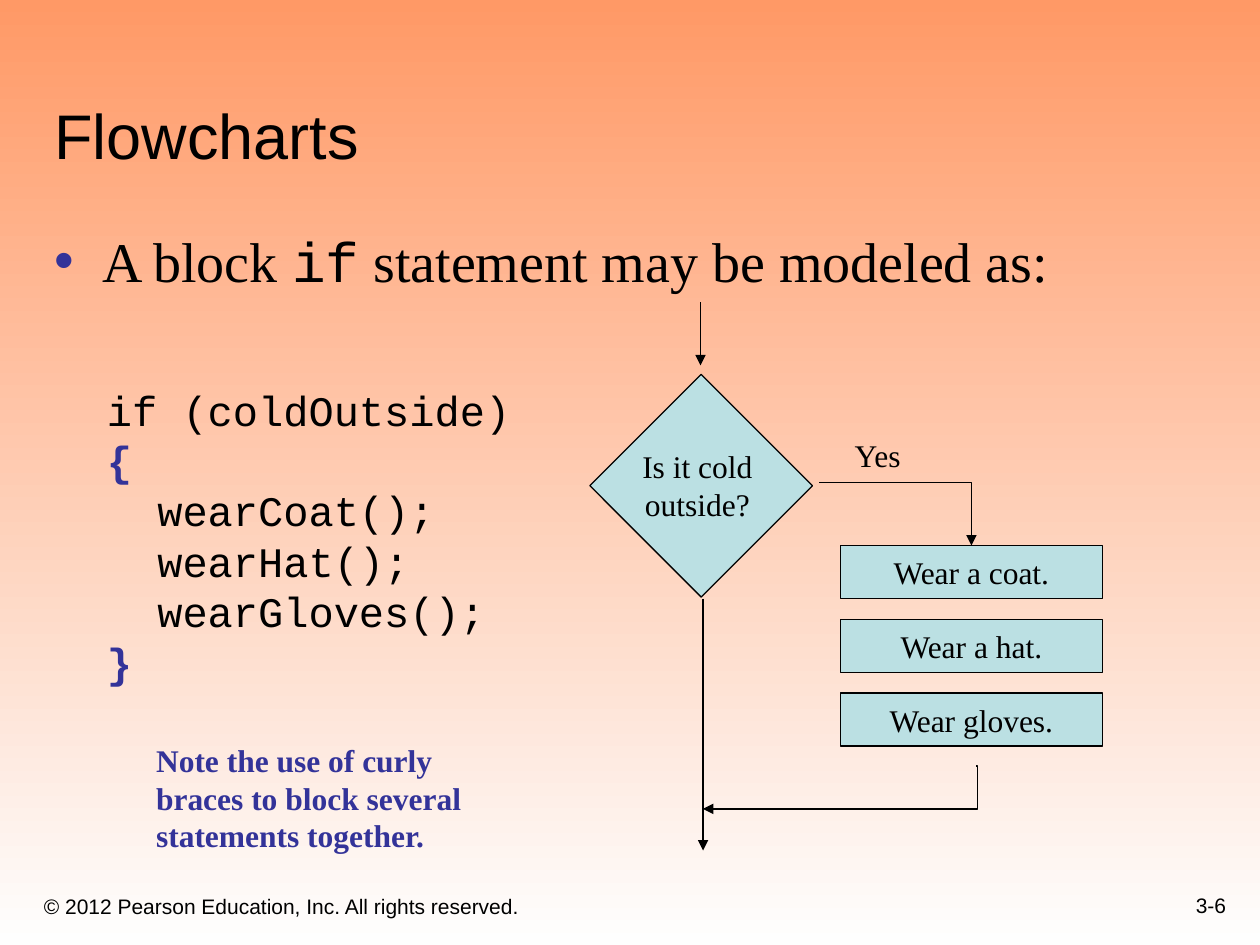
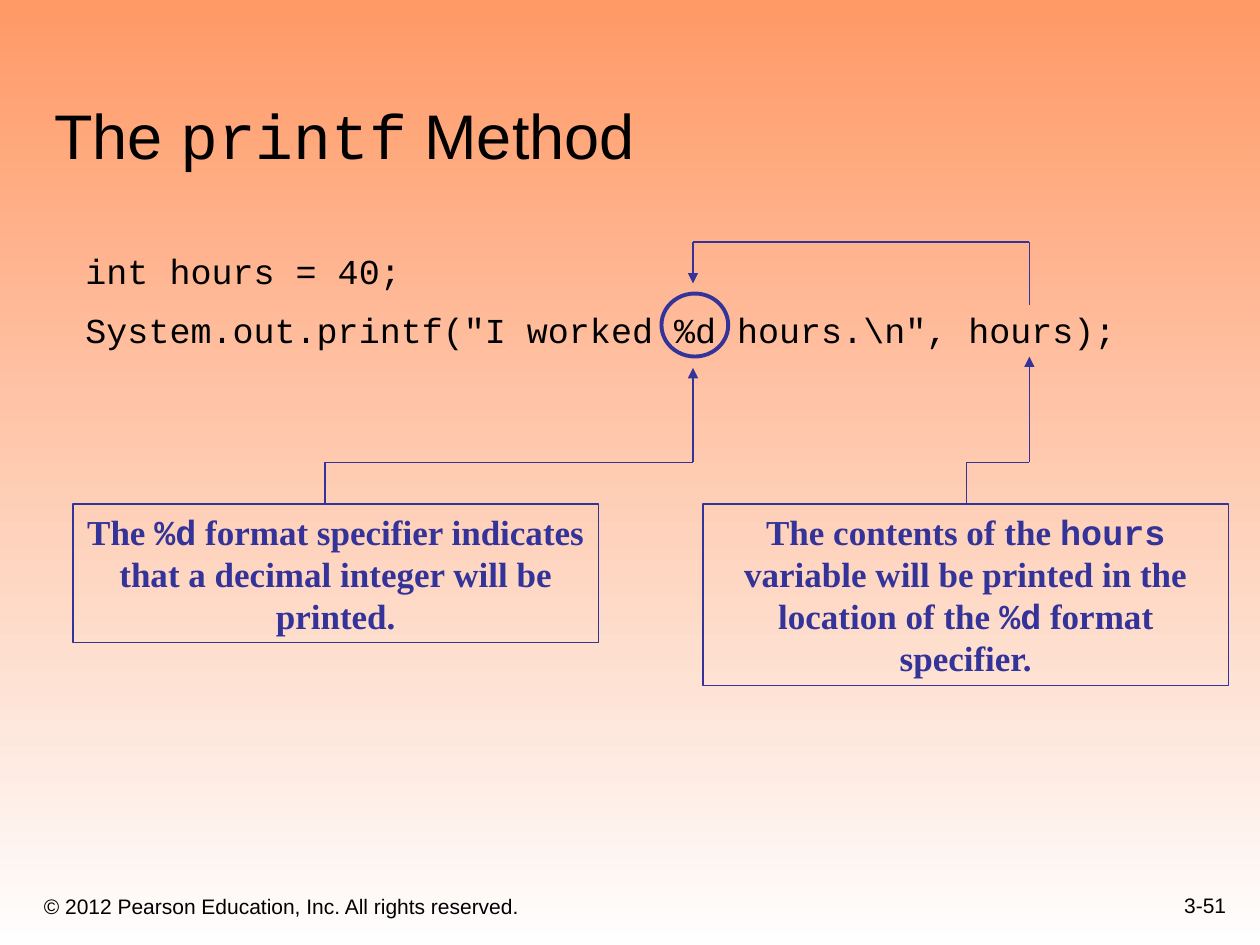
from itertools import pairwise

from pptx import Presentation
from pptx.dml.color import RGBColor
from pptx.enum.shapes import MSO_CONNECTOR as Connector, MSO_SHAPE as Shape
from pptx.enum.text import MSO_ANCHOR as Anchor, MSO_AUTO_SIZE as AutoSize, PP_ALIGN as Align
from pptx.oxml.ns import qn
from pptx.oxml.xmlchemy import OxmlElement
from pptx.util import Inches, Pt

BLACK = RGBColor(0x00, 0x00, 0x00)
NAVY = RGBColor(0x33, 0x33, 0x99)
PALE_BLUE = RGBColor(0xBB, 0xE0, 0xE3)
BACKGROUND = [RGBColor(0xFF, 0x99, 0x66), RGBColor(0xFE, 0xFE, 0xFE)]

SANS, SERIF, MONO = "Arial", "Times New Roman", "Courier New"
TITLE = {"name": SANS, "size": Pt(36), "color": BLACK}
FOOTER = {"name": SANS, "size": Pt(12), "color": BLACK}
BULLET = {"name": SERIF, "size": Pt(32), "color": BLACK}
LABEL = {"name": SERIF, "size": Pt(18), "color": BLACK}
NOTE = {"name": SERIF, "size": Pt(18), "color": NAVY, "bold": True}
CALLOUT = {"name": SERIF, "size": Pt(20), "color": NAVY, "bold": True}
BLOCK_CODE = {"name": MONO, "size": Pt(24), "color": BLACK}
PRINTF_CODE = {"name": MONO, "size": Pt(20), "color": BLACK}
CODE_RUN = {"name": MONO}
BRACE = {"color": NAVY, "bold": True}

COPYRIGHT = "© 2012 Pearson Education, Inc. All rights reserved."
FLOWCHART_TITLE = ["Flowcharts"]
FLOWCHART_BULLET = [["A block ", ("if", CODE_RUN), " statement may be modeled as:"]]
BLOCK_LINES = [["if (coldOutside)"], [("{", BRACE)], ["  wearCoat();"],
               ["  wearHat();"], ["  wearGloves();"], [("}", BRACE)]]
QUESTION = [["Is it cold"], ["outside?"]]
BRACES_NOTE = [["Note the use of curly"], ["braces to block several"], ["statements together."]]
ACTIONS = ["Wear a coat.", "Wear a hat.", "Wear gloves."]
FLOW_ARROWS = [[(5.56, 2.4), (5.56, 2.9)], [(5.58, 4.75), (5.58, 6.75)]]

PRINTF_TITLE = ["The ", ("printf", CODE_RUN), " Method"]
PRINTF_LINES = [["int hours = 40;"], ['System.out.printf("I worked %d hours.\\n", hours);']]
CALLOUTS = [
    (0.58, 1.1, ["The ", ("%d", CODE_RUN),
                 " format specifier indicates that a decimal integer will be printed."]),
    (5.58, 1.44, ["The contents of the ", ("hours", CODE_RUN),
                  " variable will be printed in the location of the ",
                  ("%d", CODE_RUN), " format specifier."]),
]
SPECIFIER_X, ARGUMENT_X, BEND_Y, CALLOUT_Y = 5.5, 8.17, 3.67, 4
PRINTF_PATHS = [
    [(ARGUMENT_X, 2.42), (ARGUMENT_X, 1.92), (SPECIFIER_X, 1.92), (SPECIFIER_X, 2.25)],
    [(2.58, CALLOUT_Y), (2.58, BEND_Y), (SPECIFIER_X, BEND_Y), (SPECIFIER_X, 2.92)],
    [(7.67, CALLOUT_Y), (7.67, BEND_Y), (ARGUMENT_X, BEND_Y), (ARGUMENT_X, 2.83)],
]


def set_font(font, values):
    for name, value in values.items():
        if name == "color":
            font.color.rgb = value
        else:
            setattr(font, name, value)


def write(shape, paragraphs, style, frame=None, align=Align.LEFT, gap=0):
    text_frame = shape.text_frame
    for name, value in {"auto_size": AutoSize.NONE, "word_wrap": True, **(frame or {})}.items():
        setattr(text_frame, name, value)
    for index, runs in enumerate(paragraphs):
        paragraph = text_frame.add_paragraph() if index else text_frame.paragraphs[0]
        paragraph.alignment = align
        paragraph.space_before = Pt(gap if index else 0)
        for part in runs:
            text, changes = part if isinstance(part, tuple) else (part, {})
            run = paragraph.add_run()
            run.text = text
            set_font(run.font, {**style, **changes})


def place(shape, *box):
    for name, value in zip(("left", "top", "width", "height"), box):
        setattr(shape, name, Inches(value))


def add_text(slide, box, paragraphs, style, **options):
    shape = slide.shapes.add_textbox(*map(Inches, box))
    write(shape, paragraphs, style, **options)


def add_outline(slide, kind, box, color, width=0.75, fill=None):
    shape = slide.shapes.add_shape(kind, *map(Inches, box))
    shape.shadow.inherit = False
    shape.line.color.rgb = color
    shape.line.width = Pt(width)
    if fill is None:
        shape.fill.background()
    else:
        shape.fill.solid()
        shape.fill.fore_color.rgb = fill
    return shape


def connect(slide, start, end, color, arrow=True, kind=Connector.STRAIGHT):
    connector = slide.shapes.add_connector(kind, *map(Inches, (*start, *end)))
    connector.line.color.rgb = color
    connector.line.width = Pt(0.75)
    if arrow:
        tail = OxmlElement("a:tailEnd")
        tail.set("type", "triangle")
        connector.line._get_or_add_ln().append(tail)
    properties = connector._element.spPr
    properties.append(OxmlElement("a:effectLst"))
    return properties.find(qn("a:prstGeom"))


def add_bullet(paragraph):
    properties = paragraph._p.get_or_add_pPr()
    properties.set("marL", str(Inches(0.38)))
    properties.set("indent", str(-Inches(0.38)))
    bullet_color = OxmlElement("a:buClr")
    color = OxmlElement("a:srgbClr")
    color.set("val", str(NAVY))
    bullet_color.append(color)
    bullet = OxmlElement("a:buChar")
    bullet.set("char", "•")
    properties.extend([bullet_color, bullet])


def add_slide(presentation, layout, title, number):
    slide = presentation.slides.add_slide(presentation.slide_layouts[layout])
    fill = slide.background.fill
    fill.gradient()
    fill.gradient_angle = 270
    for stop, color in zip(fill.gradient_stops, BACKGROUND):
        stop.color.rgb = color
    bottom = {"vertical_anchor": Anchor.BOTTOM}
    place(slide.shapes.title, 0.33, 0.33, 9.42, 1.09)
    write(slide.shapes.title, [title], TITLE, frame=bottom)
    add_text(slide, (0.25, 6.92, 6.08, 0.42), [[COPYRIGHT]], FOOTER, frame=bottom)
    add_text(slide, (7.75, 6.83, 2.08, 0.5), [[number]], FOOTER, frame=bottom, align=Align.RIGHT)
    return slide


def build_flowchart(presentation):
    slide = add_slide(presentation, 1, FLOWCHART_TITLE, "3-6")
    body = slide.placeholders[1]
    place(body, 0.33, 1.75, 9.07, 1.13)
    add_bullet(body.text_frame.paragraphs[0])
    write(body, FLOWCHART_BULLET, BULLET, frame={"margin_right": 0})

    decision = add_outline(slide, Shape.RECTANGLE, (4.94, 3.23, 1.25, 1.25), BLACK, fill=PALE_BLUE)
    decision.rotation = 45
    unwrapped = {"word_wrap": False}
    add_text(slide, (5, 3.5, 1.07, 0.7), QUESTION, LABEL, frame=unwrapped, align=Align.CENTER)
    add_text(slide, (6.67, 3.41, 0.59, 0.4), [["Yes"]], LABEL, frame=unwrapped, align=Align.CENTER)
    for index, action in enumerate(ACTIONS):
        box = (6.67, 4.33 + index * 0.585, 2.08, 0.42)
        step = add_outline(slide, Shape.RECTANGLE, box, BLACK, fill=PALE_BLUE)
        write(step, [[action]], LABEL, align=Align.CENTER,
              frame={"word_wrap": False, "vertical_anchor": Anchor.MIDDLE})

    for start, end in FLOW_ARROWS:
        connect(slide, start, end, BLACK)
    yes_branch = connect(slide, (6.5, 3.83), (7.71, 4.33), BLACK, kind=Connector.ELBOW)
    yes_branch.set("prst", "bentConnector2")
    return_branch = connect(slide, (7.75, 6.08), (5.58, 6.42), BLACK, kind=Connector.ELBOW)
    bend = OxmlElement("a:gd")
    bend.set("name", "adj1")
    bend.set("fmla", "val -500")
    return_branch.get_or_add_avLst().append(bend)

    add_text(slide, (0.75, 3, 3.58, 2.5), BLOCK_LINES, BLOCK_CODE)
    add_text(slide, (1.14, 5.83, 2.62, 1), BRACES_NOTE, NOTE, frame=unwrapped)


def build_printf(presentation):
    slide = add_slide(presentation, 5, PRINTF_TITLE, "3-51")
    add_text(slide, (0.58, 1.93, 9.08, 0.91), PRINTF_LINES, PRINTF_CODE, gap=10)
    add_outline(slide, Shape.OVAL, (5.25, 2.33, 0.53, 0.5), NAVY, width=2.25)
    for left, height, runs in CALLOUTS:
        callout = add_outline(slide, Shape.RECTANGLE, (left, CALLOUT_Y, 4.17, height), NAVY)
        write(callout, [runs], CALLOUT, frame={"vertical_anchor": Anchor.TOP}, align=Align.CENTER)
    for points in PRINTF_PATHS:
        for start, end in pairwise(points):
            connect(slide, start, end, NAVY, arrow=end == points[-1])


def main():
    presentation = Presentation()
    presentation.slide_width, presentation.slide_height = Inches(10), Inches(7.5)
    build_flowchart(presentation)
    build_printf(presentation)
    presentation.save("out.pptx")


if __name__ == "__main__":
    main()
